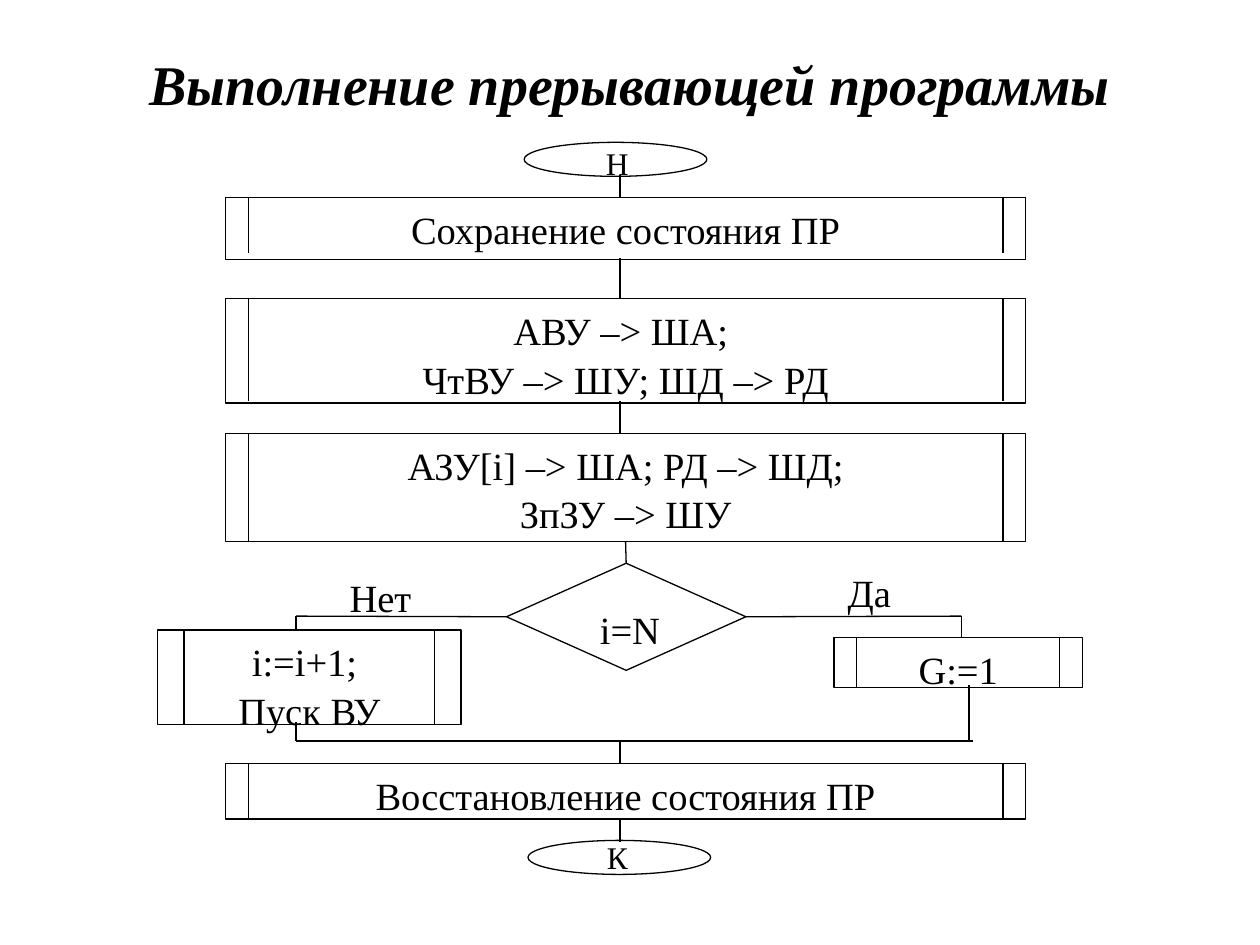
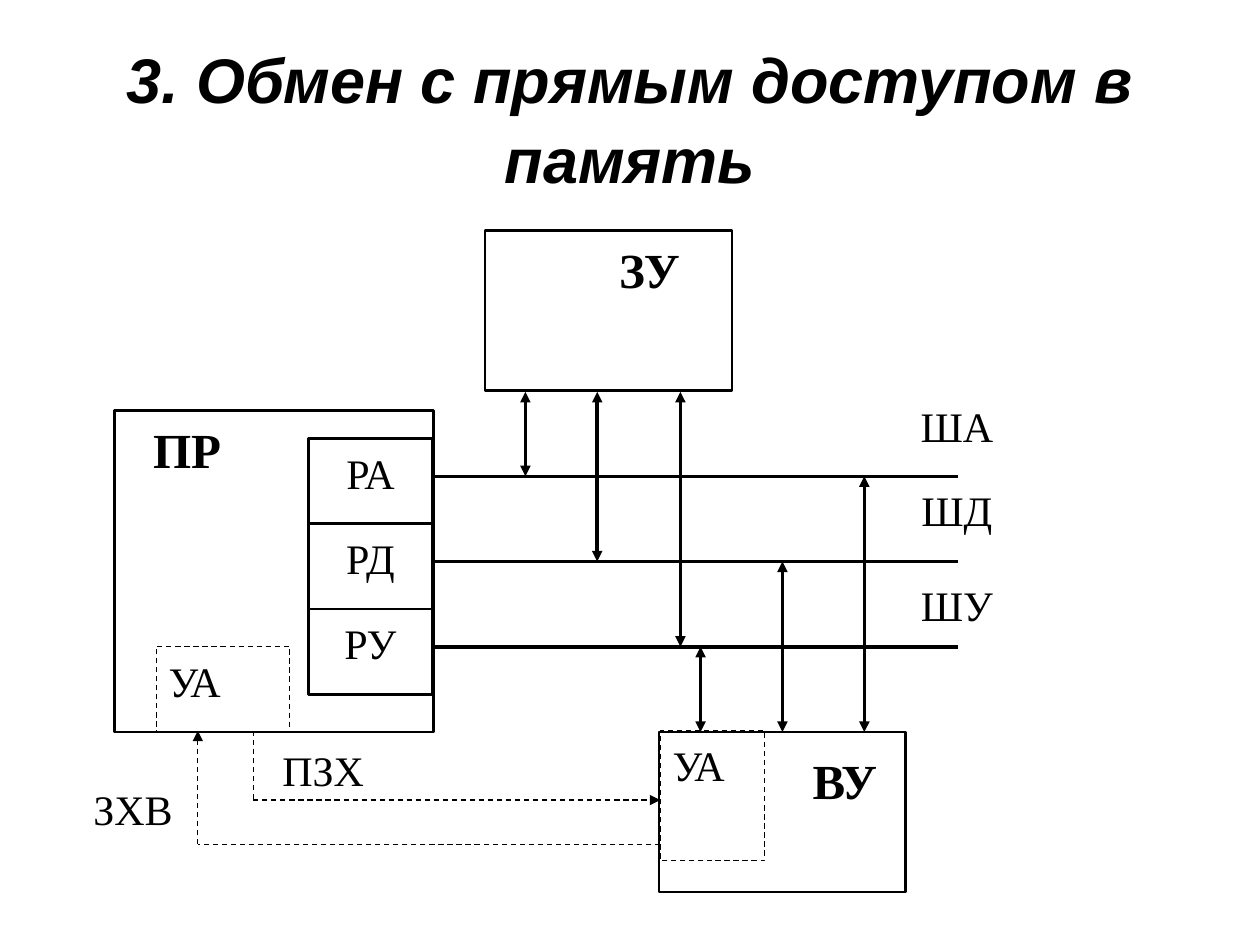
import pptx
import pptx.dml.color
import pptx.enum.dml
import pptx.enum.shapes
import pptx.enum.text
import pptx.oxml
import pptx.oxml.ns
import pptx.util

Inches = pptx.util.Inches
Pt = pptx.util.Pt
Shape = pptx.enum.shapes.MSO_SHAPE
Align = pptx.enum.text.PP_ALIGN
Anchor = pptx.enum.text.MSO_ANCHOR
TOP, LEFT, BOTTOM, RIGHT = range(4)


def color(value):
    """Turn a hex string into a colour."""
    return pptx.dml.color.RGBColor.from_string(value)


class Diagram:
    """Hold the shared style and the current slide, and draw its elements."""

    INK = "000000"
    SERIF = "Times New Roman"
    SANS = "Arial"
    LEADING = 1.05

    def __init__(self):
        """Open an empty deck of 10 by 7.5 inches."""
        self.deck = pptx.Presentation()
        self.deck.slide_width = Inches(10)
        self.deck.slide_height = Inches(7.5)
        self.page = None

    def add_page(self, title, height, size, font):
        """Start a slide with a centred bold italic title."""
        self.page = self.deck.slides.add_slide(self.deck.slide_layouts[6])
        box = self.label(0.5, 0.3, 9, height, title, size, font, bold=True, italic=True)
        box.text_frame.vertical_anchor = Anchor.MIDDLE

    def set_text(self, box, text, size, font=SERIF, bold=False, italic=False, align=Align.CENTER):
        """Fill a box with top-anchored paragraphs, one for each line."""
        frame = box.text_frame
        frame.word_wrap = True
        frame.vertical_anchor = Anchor.TOP
        frame.text = text
        for para in frame.paragraphs:
            para.alignment = align
            para.line_spacing = self.LEADING
            para.font.name = font
            para.font.size = Pt(size)
            para.font.bold = bold
            para.font.italic = italic
            para.font.color.rgb = color(self.INK)

    def label(self, left, top, width, height, text, size, font=SERIF, **style):
        """Add free text without an outline."""
        box = self.page.shapes.add_textbox(
            Inches(left), Inches(top), Inches(width), Inches(height))
        self.set_text(box, text, size, font, **style)
        return box

    def pen(self, line, weight, dashed):
        """Set the colour, weight and dash of a line."""
        line.color.rgb = color(self.INK)
        line.width = Pt(weight)
        if dashed:
            line.dash_style = pptx.enum.dml.MSO_LINE.DASH

    def outline(self, kind, left, top, width, height, weight=0.75, dashed=False):
        """Add an unfilled preset shape."""
        shape = self.page.shapes.add_shape(
            kind, Inches(left), Inches(top), Inches(width), Inches(height))
        shape.shadow.inherit = False
        shape.fill.background()
        self.pen(shape.line, weight, dashed)
        return shape

    def line(self, start, end, weight=0.75, dashed=False, arrows=(), begin=None, finish=None):
        """Add a straight line with optional arrowheads and joined (shape, side) ends."""
        points = [Inches(value) for value in (*start, *end)]
        link = self.page.shapes.add_connector(
            pptx.enum.shapes.MSO_CONNECTOR.STRAIGHT, *points)
        self.pen(link.line, weight, dashed)
        properties = link.element.spPr
        namespace = pptx.oxml.ns.nsdecls("a")
        for arrow in arrows:
            properties.get_or_add_ln().append(
                pptx.oxml.parse_xml(f'<a:{arrow} {namespace} type="triangle"/>'))
        properties.append(pptx.oxml.parse_xml(f"<a:effectLst {namespace}/>"))
        if begin:
            link.begin_connect(*begin)
        if finish:
            link.end_connect(*finish)

    def procedure(self, left, top, width, height, text, inset=0.18, rail=None):
        """Add a subroutine block: a box with a rail inside each end."""
        box = self.outline(Shape.RECTANGLE, left, top, width, height)
        self.set_text(box, text, 22)
        for x in (left + inset, left + width - inset):
            self.line((x, top), (x, top + (rail or height)))
        return box

    def terminal(self, left, top, text, text_top):
        """Add a start or end ellipse with its letter."""
        self.outline(Shape.OVAL, left, top, 1.45, 0.27)
        self.label(3.93, text_top, 1.94, 0.37, text, 18)


def draw_interrupt_program(diagram):
    """Draw the flowchart of the interrupting program."""
    diagram.add_page("Выполнение прерывающей программы", 0.7, 32, diagram.SERIF)
    diagram.terminal(4.16, 1.13, "Н", 1.08)
    diagram.terminal(4.19, 6.67, "К", 6.59)

    main_left, main_width = 1.79, 6.35
    for top, height, rail, text in (
            (1.57, 0.49, 0.44, "Сохранение состояния ПР"),
            (2.37, 0.83, 0.81, "АВУ –> ША; \nЧтВУ –> ШУ; ШД –> РД"),
            (6.06, 0.44, None, "Восстановление состояния ПР")):
        diagram.procedure(main_left, top, main_width, height, text, rail=rail)
    store = diagram.procedure(main_left, 3.44, main_width, 0.86,
                              "АЗУ[i] –> ША; РД –> ШД;\nЗпЗУ –> ШУ")
    diagram.procedure(1.25, 5, 2.41, 0.75, "i:=i+1; \nПуск ВУ", inset=0.21)
    diagram.procedure(6.62, 5.06, 1.97, 0.4, "G:=1")

    decision = diagram.outline(Shape.DIAMOND, 4.02, 4.47, 1.9, 0.85)
    for left, top, text in ((2.05, 4.49, "Нет"), (4.03, 4.74, "i=N"), (5.93, 4.45, "Да")):
        diagram.label(left, top, 1.94, 0.37, text, 22)

    axis, no_x, yes_x, done_x = 4.92, 2.35, 7.63, 7.69
    branch_y, merge_y = 4.89, 5.88
    for top, bottom in ((1.39, 1.57), (2.05, 2.37), (3.18, 3.44), (merge_y, 6.06), (6.5, 6.68)):
        diagram.line((axis, top), (axis, bottom))
    diagram.line((4.96, 4.3), (4.96, 4.47), begin=(store, BOTTOM), finish=(decision, TOP))
    diagram.line((no_x, branch_y), (4.02, branch_y), finish=(decision, LEFT))
    diagram.line((5.92, branch_y), (yes_x, branch_y), begin=(decision, RIGHT))
    diagram.line((no_x, branch_y), (no_x, 4.99))
    diagram.line((yes_x, branch_y), (yes_x, 5.06))
    diagram.line((no_x, 5.73), (no_x, merge_y))
    diagram.line((done_x, 5.44), (done_x, merge_y))
    diagram.line((no_x, merge_y), (7.72, merge_y))


def draw_direct_access(diagram):
    """Draw the bus scheme of direct memory access."""
    diagram.add_page("3. Обмен с прямым доступом в память", 1.25, 36, diagram.SANS)
    diagram.outline(Shape.RECTANGLE, 0.91, 3.26, 2.53, 2.55, 1.5)
    diagram.outline(Shape.RECTANGLE, 3.85, 1.83, 1.96, 1.27, 1.5)
    device = diagram.outline(Shape.RECTANGLE, 5.23, 5.81, 1.96, 1.27, 1.5)
    for left, top, text in ((0.75, 3.26, "ПР"), (4.42, 1.83, "ЗУ"), (5.97, 5.88, "ВУ")):
        diagram.label(left, top, 1.47, 0.82, text, 28, bold=True)

    register_top, bus_top, register_count = 3.48, 3.78, 3
    pitch = (5.51 - register_top) / register_count
    memory_y, device_y = 3.11, 5.81
    both = ("headEnd", "tailEnd")
    buses = (("РА", "ША", 3.11, 4.17, 6.86),
             ("РД", "ШД", 3.78, 4.74, 6.21),
             ("РУ", "ШУ", 4.53, 5.4, 5.56))
    for row, (register, bus, label_top, memory_x, device_x) in enumerate(buses):
        box = diagram.outline(
            Shape.RECTANGLE, 2.45, register_top + row * pitch, 0.98, pitch, 1.5)
        diagram.set_text(box, register, 24)
        diagram.label(6.86, label_top, 1.47, 0.61, bus, 24)
        bus_y = bus_top + row * pitch
        diagram.line((7.6, bus_y), (3.44, bus_y), 2)
        diagram.line((memory_x, memory_y), (memory_x, bus_y), 2, arrows=both)
        diagram.line((device_x, bus_y), (device_x, device_y), 2, arrows=both,
                     finish=(device, TOP) if bus == "ШД" else None)

    for left, top, width, height in ((1.24, 5.13, 1.06, 0.68), (5.24, 5.8, 0.83, 1.03)):
        box = diagram.outline(Shape.RECTANGLE, left, top, width, height, dashed=True)
        diagram.set_text(box, "УА", 24, align=Align.LEFT)
    for left, top, text in ((2.14, 5.84, "ПЗХ"), (0.63, 6.15, "ЗХВ")):
        diagram.label(left, top, 0.85, 0.61, text, 24)

    grant_x, request_x, port_x, grant_y, request_y = 2.01, 1.57, 5.24, 6.35, 6.7
    for start, end, arrows in (
            ((grant_x, 5.8), (grant_x, grant_y), ()),
            ((grant_x, grant_y), (port_x, grant_y), ("tailEnd",)),
            ((port_x, request_y), (request_x, request_y), ()),
            ((request_x, request_y), (request_x, 5.8), ("tailEnd",))):
        diagram.line(start, end, dashed=True, arrows=arrows)


def main():
    """Build both slides and save the deck."""
    diagram = Diagram()
    draw_interrupt_program(diagram)
    draw_direct_access(diagram)
    diagram.deck.save("out.pptx")


if __name__ == "__main__":
    main()
